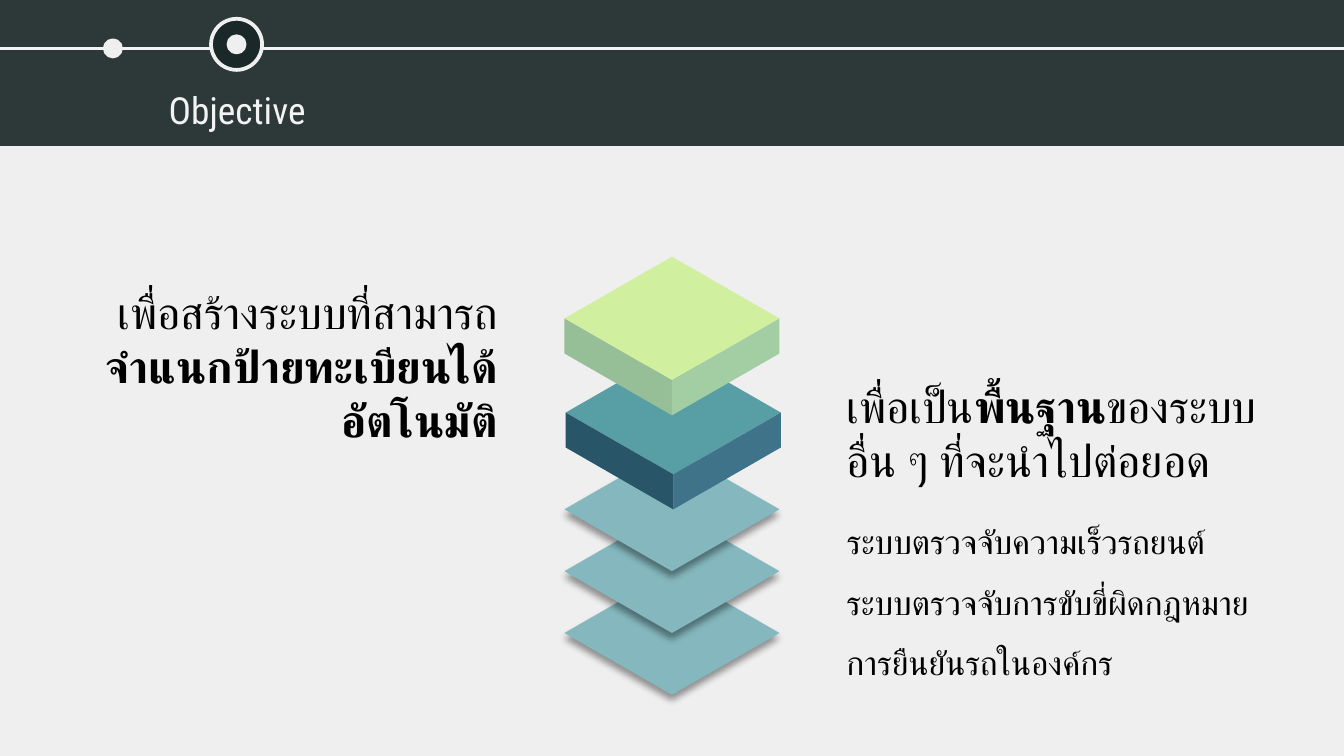
from lxml import etree
from pptx import Presentation
from pptx.dml.color import RGBColor
from pptx.enum.shapes import MSO_CONNECTOR as CONNECTOR, MSO_SHAPE as SHAPE
from pptx.enum.text import MSO_ANCHOR as ANCHOR, PP_ALIGN as ALIGN
from pptx.oxml import parse_xml
from pptx.oxml.ns import nsdecls, qn
from pptx.util import Inches, Pt

SHADOW = (
    f'<a:effectLst {nsdecls("a")}><a:outerShdw blurRad="50800" dist="38100" dir="5400000" '
    'algn="t" rotWithShape="0"><a:srgbClr val="000000"><a:alpha val="40000"/></a:srgbClr>'
    '</a:outerShdw></a:effectLst>'
)


def color(value):
    return RGBColor.from_string(value)


def add_text(text, left, top, width, height, size=24, font="Lato", ink="000000",
             align=ALIGN.LEFT, anchor=ANCHOR.TOP, spacing=None, inset=0.05):
    box = page.shapes.add_textbox(Inches(left), Inches(top), Inches(width), Inches(height))
    frame = box.text_frame
    frame.word_wrap = True
    frame.vertical_anchor = anchor
    frame.margin_top = frame.margin_bottom = Inches(inset)
    for index, line in enumerate(text.split("\n")):
        para = frame.paragraphs[0] if index == 0 else frame.add_paragraph()
        para.alignment = align
        para.line_spacing = spacing
        for part, words in enumerate(line.split("**")):
            if words:
                span = para.add_run()
                span.text = words
                span.font.name = font
                span.font.size = Pt(size)
                span.font.bold = part % 2 == 1
                span.font.color.rgb = color(ink)
                etree.SubElement(span.font._element, qn("a:cs"), typeface=font)


deck = Presentation()
deck.slide_width = Inches(10)
deck.slide_height = deck.slide_width * 9 // 16
page = deck.slides.add_slide(deck.slide_layouts[6])
page.background.fill.solid()
page.background.fill.fore_color.rgb = color("EFEFEF")

for top, height, fill in ((0, 1.33, "2C3938"), (1.1, 4.52, "EFEFEF")):
    band = page.shapes.add_shape(SHAPE.RECTANGLE, 0, Inches(top), Inches(10), Inches(height))
    band.shadow.inherit = False
    band.fill.solid()
    band.fill.fore_color.rgb = color(fill)
    band.line.color.rgb = color(fill)
    band.line.width = Pt(2)

add_text("เพื่อเป็น**พื้นฐาน**ของระบบอื่น ๆ ที่จะนำไปต่อยอด", 6.2, 2.77, 3.34, 0.91)
add_text("เพื่อสร้างระบบที่สามารถ\n**จำแนกป้ายทะเบียนได้อัตโนมัติ**", 0.34, 2.07, 3.46, 0.91,
         align=ALIGN.RIGHT)
examples = (("ระบบตรวจจับความเร็วรถยนต์", 3.02),
            ("ระบบตรวจจับการขับขี่ผิดกฎหมาย", 3.24),
            ("การยืนยันรถในองค์กร", 2.84))
for row, (example, width) in enumerate(examples):
    add_text(example, 6.2, 3.68 + 0.45 * row, width, 0.52, size=18, spacing=1.5)

half_width, half_height, thickness = 0.8, 0.46, 0.26
faces = []
for top in (4.25, 3.79, 3.33):
    faces.append((5, top, "top", "84B8BE", True))
for center, top, fills in ((5.01, 2.61, ("589EA5", "295568", "3E738A")),
                           (5, 1.91, ("D0F09F", "96BE97", "A3CEA3"))):
    for side, fill in zip(("top", "left", "right"), fills):
        faces.append((center, top, side, fill, False))

for center, top, side, fill, shaded in faces:
    middle, bottom = top + half_height, top + 2 * half_height
    left, right = center - half_width, center + half_width
    if side == "top":
        points = [(center, top), (left, middle), (center, bottom), (right, middle)]
    else:
        edge = left if side == "left" else right
        points = [(edge, middle), (edge, middle + thickness),
                  (center, bottom + thickness), (center, bottom)]
    corners = [(Inches(x), Inches(y)) for x, y in points]
    builder = page.shapes.build_freeform(*corners[0])
    builder.add_line_segments(corners[1:], close=True)
    face = builder.convert_to_shape()
    face.fill.solid()
    face.fill.fore_color.rgb = color(fill)
    face.line.fill.background()
    if shaded:
        face._element.spPr.append(parse_xml(SHADOW))
    else:
        face.shadow.inherit = False

timeline = page.shapes.add_connector(CONNECTOR.STRAIGHT, 0, Inches(0.36), Inches(10), Inches(0.36))
timeline.line.color.rgb = color("F3F3F3")
timeline.line.width = Pt(1.5)
etree.SubElement(timeline._element.spPr, qn("a:effectLst"))

for left, top, size, fill in ((0.78, 0.3, 0.12, "EFEFEF"),
                              (1.57, 0.14, 0.38, "1B2829"),
                              (1.7, 0.27, 0.12, "EFEFEF")):
    marker = page.shapes.add_shape(SHAPE.OVAL, Inches(left), Inches(top), Inches(size), Inches(size))
    marker.shadow.inherit = False
    marker.fill.solid()
    marker.fill.fore_color.rgb = color(fill)
    marker.line.color.rgb = color("EFEFEF")
    marker.line.width = Pt(2)

add_text("Objective", 1.01, 0.68, 1.51, 0.4, size=20, font="Roboto Condensed", ink="F3F3F3",
         align=ALIGN.CENTER, anchor=ANCHOR.BOTTOM, inset=0.1)

deck.save("out.pptx")
